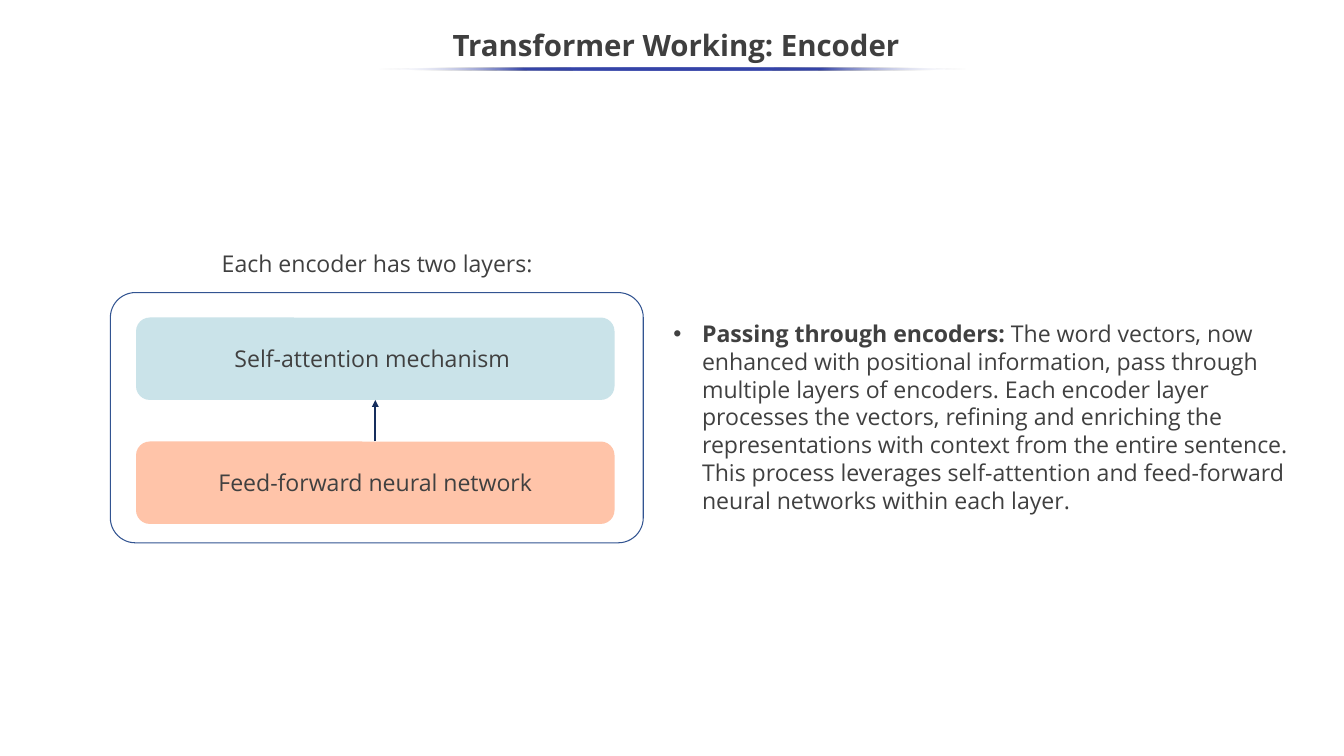
from dataclasses import dataclass
from lxml.etree import SubElement
from pptx import Presentation
from pptx.dml.color import RGBColor
from pptx.enum.shapes import MSO_CONNECTOR, MSO_SHAPE
from pptx.enum.text import MSO_ANCHOR, PP_ALIGN
from pptx.oxml.ns import qn
from pptx.util import Inches, Pt


@dataclass(frozen=True)
class Theme:
    font: str = "Open Sans"
    title_size: int = 28
    body_size: int = 22
    title: str = "3F3F3F"
    text: str = "404040"
    rule: str = "3645A9"
    paper: str = "FFFFFF"
    frame: str = "325491"
    arrow: str = "162E5D"


THEME = Theme()
WIDTH, HEIGHT = 17.78, 10
TITLE = " Transformer Working: Encoder"
CAPTION = "Each encoder has two layers:"
LAYERS = [
    ("Self-attention mechanism ", "CAE3E9"),
    ("Feed-forward neural network", "FFC4A9"),
]
EXPLANATION = [
    ("Passing through encoders: ", True),
    ("The word vectors, now enhanced with positional information, pass through "
     "multiple layers of encoders. Each encoder layer processes the vectors, "
     "refining and enriching the representations with context from the entire "
     "sentence. This process leverages self-attention and feed-forward neural "
     "networks within each layer.", False),
]
RULE_STOPS = [(0, THEME.paper, 0), (25, THEME.rule, 100), (50, THEME.rule, 100),
              (75, THEME.rule, 100), (100, THEME.paper, 0)]

LAYER_LEFT, LAYER_TOP = 1.8, 4.2
LAYER_WIDTH, LAYER_HEIGHT = 6.33, 1.09
LAYER_STEP = 1.64
INDENT = 0.38


def style(span, size=THEME.body_size, color=THEME.text, bold=False):
    span.font.name = THEME.font
    span.font.size = Pt(size)
    span.font.bold = bold
    span.font.color.rgb = RGBColor.from_string(color)


def add_box(page, left, top, width, height):
    box = page.shapes.add_textbox(*map(Inches, (left, top, width, height)))
    box.text_frame.word_wrap = True
    return box


def add_shape(page, kind, left, top, width, height, fill=None):
    shape = page.shapes.add_shape(kind, *map(Inches, (left, top, width, height)))
    shape.shadow.inherit = False
    shape.line.fill.background()
    if fill:
        shape.fill.solid()
        shape.fill.fore_color.rgb = RGBColor.from_string(fill)
    else:
        shape.fill.background()
    return shape


def set_centred(shape, text, **look):
    para = shape.text_frame.paragraphs[0]
    para.text = text
    para.alignment = PP_ALIGN.CENTER
    style(para.runs[0], **look)
    return para


def set_gradient(shape, stops):
    shape.fill.gradient()
    shape.fill.gradient_angle = 180
    stop_list = shape.element.spPr.find(qn("a:gradFill")).find(qn("a:gsLst"))
    for stop in list(stop_list):
        stop_list.remove(stop)
    for share, color, opacity in stops:
        stop = SubElement(stop_list, qn("a:gs"), pos=str(share * 1000))
        paint = SubElement(stop, qn("a:srgbClr"), val=color)
        SubElement(paint, qn("a:alpha"), val=str(opacity * 1000))


def add_heading(page):
    box = add_box(page, 0, 0.25, WIDTH, 0.75)
    box.text_frame.vertical_anchor = MSO_ANCHOR.MIDDLE
    para = set_centred(box, TITLE, size=THEME.title_size, color=THEME.title, bold=True)
    para.line_spacing = 0.9
    rule = add_shape(page, MSO_SHAPE.OVAL, 4.99, 0.89, 7.81, 0.04)
    set_gradient(rule, RULE_STOPS)


def add_arrow(page, x, start, end):
    arrow = page.shapes.add_connector(
        MSO_CONNECTOR.STRAIGHT, *map(Inches, (x, start, x, end)))
    arrow.line.width = Pt(2.25)
    arrow.line.color.rgb = RGBColor.from_string(THEME.arrow)
    SubElement(arrow.line._get_or_add_ln(), qn("a:tailEnd"), type="triangle")
    SubElement(arrow.element.spPr, qn("a:effectLst"))


def add_encoder(page):
    for row, (name, color) in enumerate(LAYERS):
        layer = add_shape(page, MSO_SHAPE.ROUNDED_RECTANGLE, LAYER_LEFT,
                          LAYER_TOP + row * LAYER_STEP, LAYER_WIDTH, LAYER_HEIGHT, color)
        layer.text_frame.vertical_anchor = MSO_ANCHOR.MIDDLE
        set_centred(layer, name)
    frame = add_shape(page, MSO_SHAPE.ROUNDED_RECTANGLE, 1.46, 3.87, 7.05, 3.31)
    frame.adjustments[0] = 0.1
    frame.line.color.rgb = RGBColor.from_string(THEME.frame)
    frame.line.width = Pt(1)
    add_arrow(page, LAYER_LEFT + LAYER_WIDTH / 2,
              LAYER_TOP + LAYER_STEP, LAYER_TOP + LAYER_HEIGHT)
    set_centred(add_box(page, 2.47, 3.25, 5.04, 0.47), CAPTION)


def add_explanation(page):
    box = add_box(page, 8.81, 4.18, 8.33, 2.69)
    para = box.text_frame.paragraphs[0]
    layout = para._p.get_or_add_pPr()
    layout.set("marL", str(Inches(INDENT)))
    layout.set("indent", str(-Inches(INDENT)))
    SubElement(layout, qn("a:buFont"), typeface="Arial")
    SubElement(layout, qn("a:buChar"), char="•")
    for text, bold in EXPLANATION:
        span = para.add_run()
        span.text = text
        style(span, bold=bold)


def main():
    deck = Presentation()
    deck.slide_width, deck.slide_height = Inches(WIDTH), Inches(HEIGHT)
    page = deck.slides.add_slide(deck.slide_layouts[6])
    add_heading(page)
    add_encoder(page)
    add_explanation(page)
    deck.save("out.pptx")


if __name__ == "__main__":
    main()
